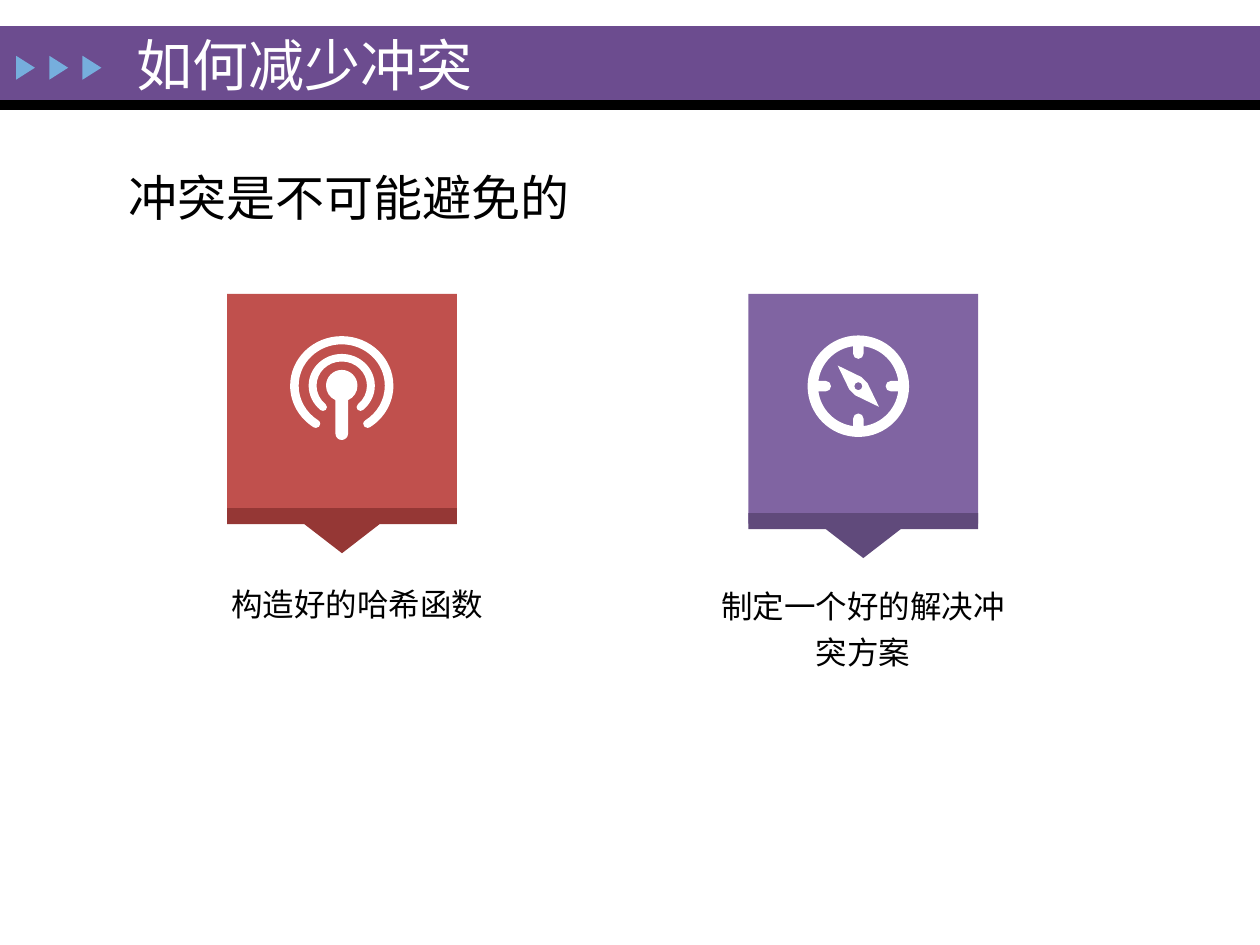
"""Build a slide on reducing hash collisions with two icon badges."""
import math

import pptx
import pptx.dml.color
import pptx.enum.shapes
import pptx.enum.text
import pptx.oxml.ns
import pptx.util

Pt = pptx.util.Pt
qn = pptx.oxml.ns.qn
SHAPE = pptx.enum.shapes.MSO_SHAPE
ALIGN = pptx.enum.text.PP_ALIGN
ANCHOR = pptx.enum.text.MSO_ANCHOR
FONT = "Calibri"
COLORS = {
    "banner": "6C4C8F",
    "black": "000000",
    "white": "FFFFFF",
    "arrow": "76AEDD",
    "red": "C0504D",
    "dark_red": "953735",
    "purple": "8064A2",
    "dark_purple": "604A7B",
}


def rgb(name):
    return pptx.dml.color.RGBColor.from_string(COLORS[name])


def paint(sp, color):
    sp.shadow.inherit = False
    sp.fill.solid()
    sp.fill.fore_color.rgb = rgb(color)
    sp.line.fill.background()


def add_shape(slide, kind, x, y, w, h, color, rotation=0):
    sp = slide.shapes.add_shape(kind, Pt(x), Pt(y), Pt(w), Pt(h))
    sp.rotation = rotation
    paint(sp, color)


def add_outline(slide, x, y, contours, color):
    """Draw contours made of one-point lines and three-point curves."""
    builder = None
    for contour in contours:
        points = [(Pt(x + dx), Pt(y + dy)) for seg in contour for dx, dy in seg]
        if builder is None:
            builder = slide.shapes.build_freeform(*points[0])
        else:
            builder.move_to(*points[0])
        builder.add_line_segments(points[1:])
    sp = builder.convert_to_shape()
    lines = iter(list(sp._element.iter(qn("a:lnTo"))))
    for contour in contours:
        for seg in contour[1:]:
            first, *rest = [next(lines) for _ in seg]
            if rest:
                first.tag = qn("a:cubicBezTo")
            for line in rest:
                first.append(line[0])
                line.getparent().remove(line)
    paint(sp, color)


def add_text(slide, x, y, w, h, text, size, color="black", caption=False):
    tf = slide.shapes.add_textbox(Pt(x), Pt(y), Pt(w), Pt(h)).text_frame
    tf.word_wrap = True
    p = tf.paragraphs[0]
    p.text = text
    p.font.name = FONT
    p.font.size = Pt(size)
    p.font.color.rgb = rgb(color)
    if caption:
        tf.margin_left = tf.margin_right = tf.margin_top = tf.margin_bottom = 0
        p.alignment = ALIGN.CENTER
        p.line_spacing = 1.2
    else:
        tf.vertical_anchor = ANCHOR.MIDDLE


def polar(radius, angle):
    a = math.radians(angle)
    return radius * math.cos(a), radius * math.sin(a)


def polygon(points):
    return [(point,) for point in points]


def arc(cx, cy, radius, start, end):
    """Return a start point and one curve per quadrant."""
    low, high = sorted((start, end))
    turns = [a for a in range(-360, 721, 90) if low < a < high]
    stops = [start] + sorted(turns, reverse=start > end) + [end]

    def point(angle, pull=0):
        x, y = polar(radius, angle)
        return cx + x - pull * y, cy + y + pull * x

    segs = [(point(start),)]
    for a, b in zip(stops, stops[1:]):
        pull = 4 / 3 * math.tan(math.radians(b - a) / 4)
        segs.append((point(a, pull), point(b, -pull), point(b)))
    return segs


def open_ring(outer, inner, half_gap, squash=0.96):
    start, end = 90 + half_gap, 450 - half_gap
    middle, cap = (outer + inner) / 2, (outer - inner) / 2
    segs = (arc(0, 0, outer, start, end)
            + arc(*polar(middle, end), cap, end, end + 180)
            + arc(0, 0, inner, end, start)
            + arc(*polar(middle, start), cap, start + 180, start + 360))
    return [tuple((x, y * squash) for x, y in seg) for seg in segs]


def antenna():
    ball, stem = 9, 3.6
    joint = math.degrees(math.asin(stem / ball))
    mast = arc(0, 0, ball, 90 + joint, 450 - joint) + arc(0, 27.4, stem, 0, 180)
    return [open_ring(18.9, 14.4, 40), mast, open_ring(29.5, 24.6, 33)]


def compass():
    inner, tick = 23, 3
    joint = math.degrees(math.asin(tick / inner))
    dial = []
    for a in range(270, -90, -90):
        dial += arc(*polar(18.6, a + 90), tick, a - 180, a)
        dial += arc(0, 0, inner, a + 90 - joint, a + joint)
    half = [(-11.8, -11.8), (-5.2, 1.8), (-1.8, 5.2)]
    needle = polygon(half + [(-x, -y) for x, y in half])
    return [arc(0, 0, 29, 0, 360), dial, needle, arc(0, 0, 2.3, 360, 0)]


def add_badge(slide, x, fold_y, color, dark):
    side, top = 131.3, 168
    add_shape(slide, SHAPE.RECTANGLE, x, top, side, side, color)
    mid, notch = side / 2, 21.5
    fold = [(0, 0), (side, 0), (side, 9.1), (mid + notch, 9.1),
            (mid, 25.7), (mid - notch, 9.1), (0, 9.1)]
    add_outline(slide, x, fold_y, [polygon(fold)], dark)


def add_banner(slide):
    add_shape(slide, SHAPE.RECTANGLE, 0, 15, 720, 42.4, "banner")
    add_shape(slide, SHAPE.RECTANGLE, 0, 57.3, 720, 5.5, "black")
    for i in range(3):
        add_shape(slide, SHAPE.ISOSCELES_TRIANGLE, 7.7 + 19 * i, 33.3,
                  13.7, 10.8, "arrow", 90)


def main():
    prs = pptx.Presentation()
    prs.slide_width, prs.slide_height = Pt(720), Pt(540)
    slide = prs.slides.add_slide(prs.slide_layouts[6])
    add_banner(slide)
    add_text(slide, 66.6, 87.1, 278, 51, "冲突是不可能避免的", 28)
    add_text(slide, 70.9, 16.4, 272, 40.3, "如何减少冲突", 32, "white")

    add_badge(slide, 427.7, 293.2, "purple", "dark_purple")
    add_text(slide, 405.2, 331.4, 175.7, 36.7, "制定一个好的解决冲突方案", 18, caption=True)
    add_outline(slide, 490.5, 220.7, compass(), "white")

    add_badge(slide, 129.8, 290.4, "red", "dark_red")
    add_text(slide, 107.5, 329.8, 193, 36.7, "构造好的哈希函数", 18, caption=True)
    add_outline(slide, 195.3, 220.4, antenna(), "white")
    prs.save("out.pptx")


if __name__ == "__main__":
    main()
